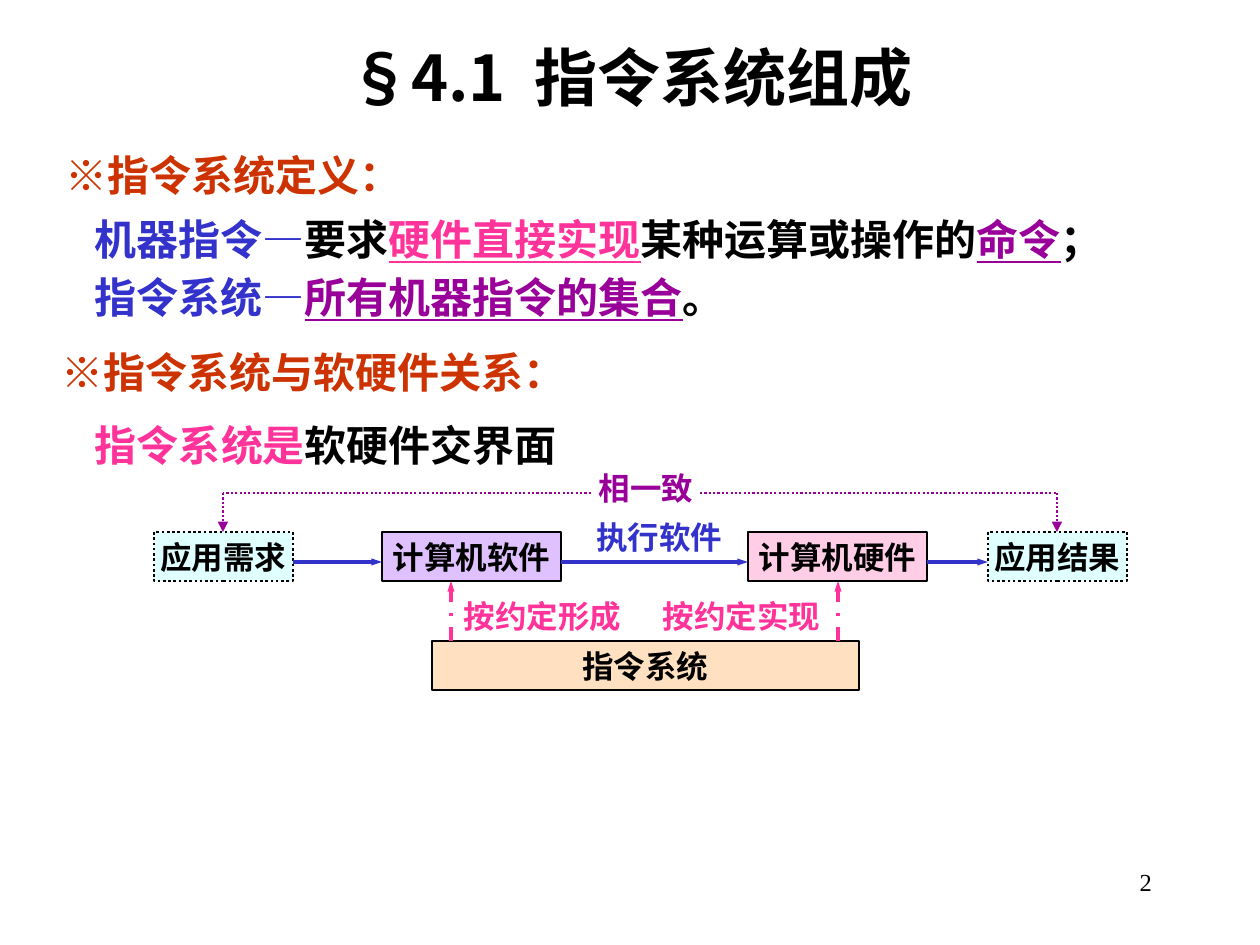
from dataclasses import dataclass

from lxml.etree import SubElement
from pptx import Presentation
from pptx.dml.color import RGBColor
from pptx.enum.dml import MSO_LINE_DASH_STYLE as Dash
from pptx.enum.shapes import MSO_CONNECTOR, MSO_SHAPE
from pptx.enum.text import MSO_ANCHOR as Anchor, MSO_AUTO_SIZE, PP_ALIGN as Align
from pptx.oxml.ns import qn
from pptx.util import Emu, Pt


@dataclass(frozen=True)
class Theme:
    font: str = "Noto Sans CJK SC"
    number_font: str = "Times New Roman"
    black: str = "000000"
    heading: str = "CC3300"
    blue: str = "3333CC"
    pink: str = "FF3399"
    purple: str = "990099"
    orange_fill: str = "FFCC99"
    pink_fill: str = "FF99CC"
    violet_fill: str = "CC99FF"
    cyan_fill: str = "CCFFFF"
    title_size: int = 36
    body_size: int = 24
    label_size: int = 18
    number_size: int = 14


THEME = Theme()
PX_PER_INCH = 126
FIRST_LINE = 38   # line pitch in points for the first line of a text block


def px(length):
    return Emu(round(length * 914400 / PX_PER_INCH))


def rgb(code):
    return RGBColor.from_string(code)


def place(shape, box):
    shape.left, shape.top, shape.width, shape.height = map(px, box)


def set_frame(frame, margins, anchor):
    frame.word_wrap = True
    frame.auto_size = MSO_AUTO_SIZE.NONE
    frame.vertical_anchor = anchor
    frame.margin_left = frame.margin_right = px(margins[0])
    frame.margin_top = frame.margin_bottom = px(margins[1])


def add_run(paragraph, text, size, color, underline=False, face=THEME.font, bold=True):
    run = paragraph.add_run()
    run.text = text
    font = run.font
    font.name, font.size, font.bold = face, Pt(size), bold
    font.color.rgb = rgb(color)
    if underline:
        font.underline = True
    latin = run._r.rPr.find(qn("a:latin"))
    east_asian = latin.makeelement(qn("a:ea"), {"typeface": face})
    latin.addnext(east_asian)


def add_title(slide, text):
    title = slide.shapes.title
    place(title, (116, 32, 1029, 88))
    set_frame(title.text_frame, (13, 6), Anchor.MIDDLE)
    paragraph = title.text_frame.paragraphs[0]
    paragraph.alignment = Align.CENTER
    add_run(paragraph, text, THEME.title_size, THEME.black)


def add_body(slide, box, lines):
    """Each line is (indent in px, pitch in points, runs)."""
    block = slide.shapes.add_textbox(*map(px, box))
    frame = block.text_frame
    set_frame(frame, (13, 6), Anchor.TOP)
    for index, (indent, pitch, runs) in enumerate(lines):
        paragraph = frame.add_paragraph() if index else frame.paragraphs[0]
        paragraph.line_spacing = Pt(pitch)
        properties = paragraph._p.get_or_add_pPr()
        properties.set("marL", str(px(indent)))
        properties.set("indent", "0")
        for text, color, *underline in runs:
            add_run(paragraph, text, THEME.body_size, color, *underline)


def write_label(shape, text, color, align):
    set_frame(shape.text_frame, (3, 1), Anchor.MIDDLE)
    paragraph = shape.text_frame.paragraphs[0]
    paragraph.alignment = align
    add_run(paragraph, text, THEME.label_size, color)


def add_label(slide, box, text, color, align=Align.CENTER):
    write_label(slide.shapes.add_textbox(*map(px, box)), text, color, align)


def add_node(slide, box, text, fill, opacity=60, dash=None):
    node = slide.shapes.add_shape(MSO_SHAPE.RECTANGLE, *map(px, box))
    node.shadow.inherit = False
    node.fill.solid()
    node.fill.fore_color.rgb = rgb(fill)
    color = node._element.spPr.find(qn("a:solidFill"))[0]
    SubElement(color, qn("a:alpha"), val=str(opacity * 1000))
    node.line.color.rgb = rgb(THEME.black)
    node.line.width = Pt(1.5)
    if dash:
        node.line.dash_style = dash
    write_label(node, text, THEME.black, Align.CENTER)


def add_line(slide, start, end, color, width, dash=None, arrow_width=None):
    line = slide.shapes.add_connector(MSO_CONNECTOR.STRAIGHT, *map(px, (*start, *end)))
    line.line.color.rgb = rgb(color)
    line.line.width = Pt(width)
    if dash:
        line.line.dash_style = dash
    if arrow_width:
        SubElement(line.line._get_or_add_ln(), qn("a:tailEnd"),
                   type="triangle", w=arrow_width, len="med")
    SubElement(line._element.spPr, qn("a:effectLst"))


def add_definitions(slide):
    t = THEME
    add_body(slide, (25, 127, 1211, 197), [
        (28, FIRST_LINE, [("※指令系统定义：", t.heading)]),
        (57, 37, [("机器指令—", t.blue), ("要求", t.black),
                  ("硬件直接实现", t.pink, True), ("某种运算或操作的", t.black),
                  ("命令", t.purple, True), ("；", t.black)]),
        (57, 33, [("指令系统—", t.blue), ("所有机器指令的集合", t.purple, True),
                  ("。", t.black)]),
    ])
    add_body(slide, (21, 324, 1215, 76),
             [(28, FIRST_LINE, [("※指令系统与软硬件关系：", t.heading)])])
    add_body(slide, (25, 397, 1215, 76),
             [(57, FIRST_LINE, [("指令系统是", t.pink), ("软硬件交界面", t.black)])])


def add_diagram(slide):
    t = THEME
    node_top, node_height = 532, 49
    node_bottom = node_top + node_height
    base_top, flow_y, match_y = 641, 562, 493

    # Instruction set and its two conventions
    add_node(slide, (432, base_top, 427, node_height), "指令系统", t.orange_fill)
    for label_left, text, arrow_x in ((461, "按约定形成", 451), (660, "按约定实现", 838)):
        add_label(slide, (label_left, 601, 169, 30), text, t.pink, Align.LEFT)
        add_line(slide, (arrow_x, base_top), (arrow_x, node_bottom), t.pink, 2,
                 Dash.DASH_DOT, "sm")

    # Flow from need to result
    nodes = [
        (154, 139, "应用需求", t.cyan_fill, 60, Dash.ROUND_DOT),
        (382, 179, "计算机软件", t.violet_fill, 60, None),
        (748, 179, "计算机硬件", t.pink_fill, 49, None),
        (988, 139, "应用结果", t.cyan_fill, 60, Dash.ROUND_DOT),
    ]
    for left, width, *style in nodes:
        add_node(slide, (left, node_top, width, node_height), *style)
    for source, target in zip(nodes, nodes[1:]):
        add_line(slide, (source[0] + source[1], flow_y), (target[0], flow_y),
                 t.blue, 2, arrow_width="sm")
    add_label(slide, (590, 522, 139, 30), "执行软件", t.blue)

    # Agreement between need and result
    add_label(slide, (591, 473, 110, 30), "相一致", t.purple)
    for label_edge, outer_x in ((591, 223), (700, 1057)):
        add_line(slide, (label_edge, match_y), (outer_x, match_y), t.purple, 1.25,
                 Dash.ROUND_DOT)
        add_line(slide, (outer_x, match_y), (outer_x, node_top), t.purple, 1.25,
                 Dash.ROUND_DOT, "med")


def add_page_number(slide, number):
    frame = slide.shapes.add_textbox(*map(px, (903, 861, 262, 63))).text_frame
    set_frame(frame, (13, 6), Anchor.TOP)
    paragraph = frame.paragraphs[0]
    paragraph.alignment = Align.RIGHT
    add_run(paragraph, number, THEME.number_size, THEME.black,
            face=THEME.number_font, bold=False)


def main():
    deck = Presentation()
    deck.slide_width, deck.slide_height = px(1260), px(945)
    slide = deck.slides.add_slide(deck.slide_layouts.get_by_name("Title Only"))
    add_title(slide, "§4.1  指令系统组成")
    add_definitions(slide)
    add_diagram(slide)
    add_page_number(slide, "2")
    deck.save("out.pptx")


if __name__ == "__main__":
    main()
